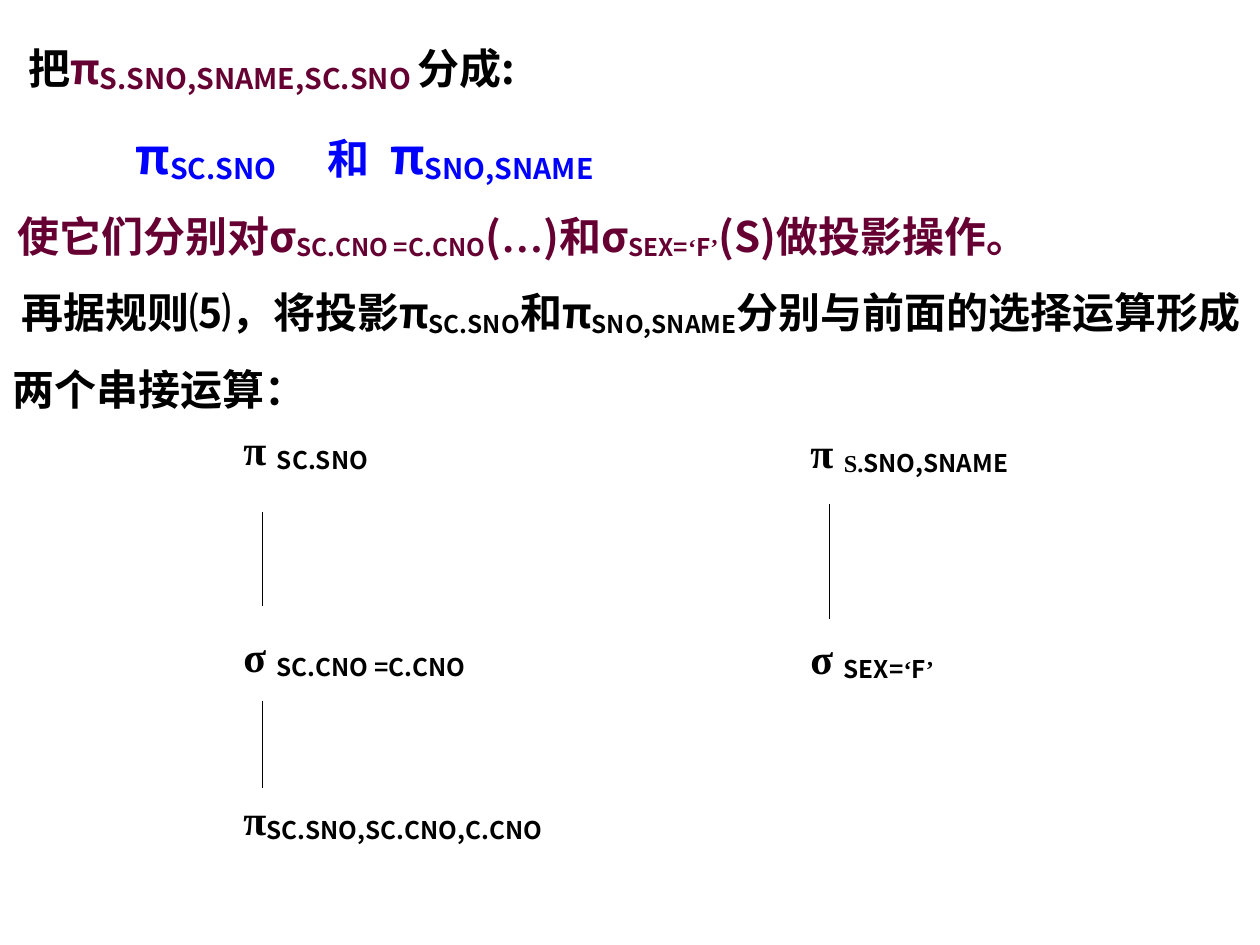
from pptx import Presentation
from pptx.dml.color import RGBColor
from pptx.enum.shapes import MSO_CONNECTOR
from pptx.oxml.ns import qn
from pptx.util import Pt
from lxml import etree

STRAIGHT = MSO_CONNECTOR.STRAIGHT
BLACK = RGBColor(0x00, 0x00, 0x00)
PLUM = RGBColor(0x66, 0x00, 0x33)
BLUE = RGBColor(0x00, 0x00, 0xFF)
SANS = "Noto Sans CJK SC"
SERIF = "Times New Roman"


def write(paragraph, text, size=24, color=BLACK, font=SANS, sub=False):
    run = paragraph.add_run()
    run.text = text
    run.font.size = Pt(size)
    run.font.bold = True
    run.font.color.rgb = color
    run.font.name = font
    properties = run.font._element
    east_asian = etree.SubElement(properties, qn("a:ea"))
    east_asian.set("typeface", font)
    if sub:
        properties.set("baseline", "-10000")


class OperatorSlide:
    def __init__(self, presentation):
        self.slide = presentation.slides.add_slide(presentation.slide_layouts[6])

    def text_frame(self, left, top, width, height):
        box = self.slide.shapes.add_textbox(Pt(left), Pt(top), Pt(width), Pt(height))
        box.text_frame.word_wrap = True
        return box.text_frame

    def explanation(self, lines):
        """Lines of (first-line indent, tab stops, runs), in points."""
        frame = self.text_frame(0, 0, 720, 259)
        for index, (indent, stops, runs) in enumerate(lines):
            paragraph = frame.add_paragraph() if index else frame.paragraphs[0]
            paragraph.line_spacing = 1.5
            properties = paragraph._p.get_or_add_pPr()
            properties.set("marL", "0")
            properties.set("indent", str(Pt(indent)))
            if stops:
                tab_list = etree.SubElement(properties, qn("a:tabLst"))
                for stop in stops:
                    etree.SubElement(tab_list, qn("a:tab"), pos=str(Pt(stop)), algn="l")
            for text, style in runs:
                write(paragraph, text, **style)

    def operator(self, left, top, symbol, *subscripts, width=300):
        """A Greek operator followed by (text, font) subscripts."""
        paragraph = self.text_frame(left, top, width, 68).paragraphs[0]
        write(paragraph, symbol, font=SERIF)
        for text, font in subscripts:
            write(paragraph, text, font=font, sub=True)

    def link(self, x, top, bottom):
        line = self.slide.shapes.add_connector(STRAIGHT, Pt(x), Pt(top), Pt(x), Pt(bottom))
        line.line.color.rgb = BLACK
        line.line.width = Pt(0.75)
        etree.SubElement(line._element.spPr, qn("a:effectLst"))


def main():
    presentation = Presentation()
    presentation.slide_width, presentation.slide_height = Pt(720), Pt(540)
    page = OperatorSlide(presentation)

    black_sub = dict(sub=True)
    plum = dict(color=PLUM)
    plum_sub = dict(color=PLUM, sub=True)
    plum_quote = dict(color=PLUM, sub=True, font=SERIF)
    blue = dict(color=BLUE)
    blue_large = dict(color=BLUE, size=28)
    blue_sub = dict(color=BLUE, size=28, sub=True)

    page.explanation([
        (9, (), [
            ("把", {}), ("π", plum),
            ("S.SNO,SNAME,SC.SNO ", dict(color=PLUM, size=28, sub=True)),
            ("分成:", {}),
        ]),
        (70.5, (170, 215.5), [
            ("π", blue_large), ("SC.SNO", blue_sub), ("\t和\t", blue),
            ("π", blue_large), ("SNO,SNAME", blue_sub),
        ]),
        (3, (), [
            ("使它们分别对σ", plum), ("SC.CNO =C.CNO", plum_sub), ("(", plum),
            ("…", dict(color=PLUM, font=SERIF)), (")和σ", plum),
            ("SEX=", plum_sub), ("‘", plum_quote), ("F", plum_sub),
            ("’", plum_quote), ("(S)做投影操作。", plum),
        ]),
        (5, (), [
            ("再据规则⑸，将投影π", {}), ("SC.SNO", black_sub), ("和π", {}),
            ("SNO,SNAME", black_sub),
            ("分别与前面的选择运算形成两个串接运算：", {}),
        ]),
    ])

    join_branch, student_branch = 132, 456
    page.operator(join_branch, 238.5, "π ", ("SC.SNO", SANS))
    page.operator(join_branch, 356.5, "σ ", ("SC.CNO =C.CNO", SANS), width=168)
    page.operator(join_branch, 450, "π", ("SC.SNO,SC.CNO,C.CNO", SANS), width=414)
    page.link(150, 292.5, 346.5)
    page.link(150, 400.5, 450)

    page.operator(student_branch, 240, "π ", ("S.", SERIF), ("SNO,SNAME", SANS), width=240)
    page.operator(student_branch, 358, "σ ", ("SEX=", SANS), ("‘", SERIF),
                  ("F", SANS), ("’", SERIF), width=264)
    page.link(474, 288, 354)

    presentation.save("out.pptx")


if __name__ == "__main__":
    main()
